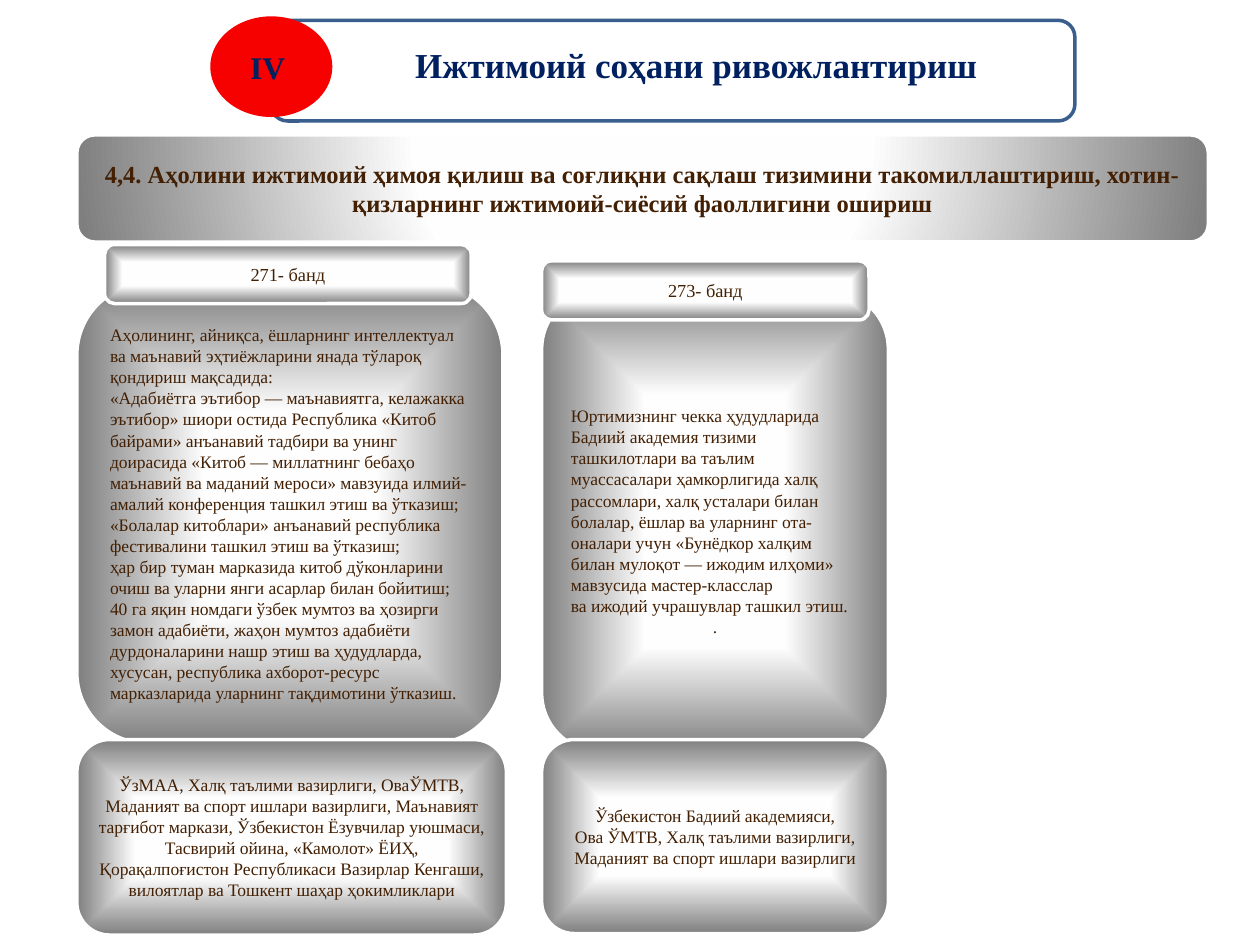
import pptx
import pptx.dml.color
import pptx.enum.shapes
import pptx.enum.text
import pptx.oxml
import pptx.oxml.ns
import pptx.util

Cm, Pt = pptx.util.Cm, pptx.util.Pt
SHAPE = pptx.enum.shapes.MSO_SHAPE
CENTER = pptx.enum.text.PP_ALIGN.CENTER
LEFT = pptx.enum.text.PP_ALIGN.LEFT
MIDDLE = pptx.enum.text.MSO_ANCHOR.MIDDLE

FONT = "Times New Roman"
BROWN, NAVY, RED, BLUE, WHITE = "432003", "002060", "F60000", "3A5F8C", "FFFFFF"
GRADIENT = [(0, "FFFFFF"), (40, "FEFEFE"), (100, "7F7F7F")]
EDGES = ("l", "t", "r", "b")
FROM_CENTER = ("shape", (50, 50, 50, 50))
FROM_SIDES = ("circle", (50, -80, 50, 180))

NUMBER = "IV "
TITLE = "Ижтимоий соҳани ривожлантириш"
GOAL = ("4,4. Аҳолини ижтимоий ҳимоя қилиш ва соғлиқни сақлаш тизимини "
        "такомиллаштириш, хотин-қизларнинг ижтимоий-сиёсий фаоллигини ошириш")

# Each box is (left, top, width, height) in centimetres
CLAUSES = [
    {
        "tag": "271- банд",
        "tag_box": (2.11, 4.93, 7.39, 1.19),
        "tasks": [
            ("Аҳолининг, айниқса, ёшларнинг интеллектуал ва маънавий эҳтиёжларини "
             "янада тўлароқ қондириш мақсадида:", LEFT),
            ("«Адабиётга эътибор — маънавиятга, келажакка эътибор» шиори остида "
             "Республика «Китоб байрами» анъанавий тадбири ва унинг доирасида "
             "«Китоб — миллатнинг бебаҳо маънавий ва маданий мероси» мавзуида "
             "илмий-амалий конференция ташкил этиш ва ўтказиш;", LEFT),
            ("«Болалар китоблари» анъанавий республика фестивалини ташкил этиш "
             "ва ўтказиш;", LEFT),
            ("ҳар бир туман марказида китоб дўконларини очиш ва уларни янги "
             "асарлар билан бойитиш;", LEFT),
            ("40 га яқин номдаги ўзбек мумтоз ва ҳозирги замон адабиёти, жаҳон "
             "мумтоз адабиёти дурдоналарини нашр этиш ва ҳудудларда, хусусан, "
             "республика ахборот-ресурс марказларида уларнинг тақдимотини "
             "ўтказиш.", LEFT),
        ],
        "tasks_box": (1.55, 5.72, 8.59, 9.27),
        "agencies": [
            ("ЎзМАА, Халқ таълими вазирлиги, ОваЎМТВ, Маданият ва спорт ишлари "
             "вазирлиги, Маънавият тарғибот маркази, Ўзбекистон Ёзувчилар "
             "уюшмаси, Тасвирий ойина, «Камолот» ЁИҲ, Қорақалпоғистон "
             "Республикаси Вазирлар Кенгаши, вилоятлар ва Тошкент шаҳар "
             "ҳокимликлари", CENTER),
        ],
        "agencies_box": (1.55, 14.91, 8.66, 3.94),
    },
    {
        "tag": "273- банд",
        "tag_box": (10.92, 5.26, 6.6, 1.19),
        "tasks": [
            ("Юртимизнинг чекка ҳудудларида Бадиий академия тизими ташкилотлари "
             "ва таълим муассасалари ҳамкорлигида халқ рассомлари, халқ усталари "
             "билан болалар, ёшлар ва уларнинг ота-оналари учун «Бунёдкор халқим "
             "билан мулоқот — ижодим илҳоми» мавзусида мастер-класслар \n"
             "ва ижодий учрашувлар ташкил этиш.", LEFT),
            (".", CENTER),
        ],
        "tasks_box": (10.92, 5.87, 6.99, 9.27),
        "agencies": [
            ("Ўзбекистон Бадиий академияси,", CENTER),
            ("Ова ЎМТВ, Халқ таълими вазирлиги, Маданият ва спорт ишлари "
             "вазирлиги", CENTER),
        ],
        "agencies_box": (10.92, 14.91, 6.99, 3.91),
    },
]


def rgb(value):
    return pptx.dml.color.RGBColor.from_string(value)


def write(shape, paragraphs, size, color, bold=False):
    """Fill a shape with (text, alignment) paragraphs in one style."""
    frame = shape.text_frame
    frame.word_wrap = True
    for index, (text, alignment) in enumerate(paragraphs):
        paragraph = frame.add_paragraph() if index else frame.paragraphs[0]
        paragraph.text = text
        paragraph.alignment = alignment
        font = paragraph.font
        font.name, font.size, font.bold = FONT, Pt(size), bold
        font.color.rgb = rgb(color)


def add_shape(shapes, kind, box, fill=None, line=None):
    shape = shapes.add_shape(kind, *map(Cm, box))
    shape.shadow.inherit = False
    if fill:
        shape.fill.solid()
        shape.fill.fore_color.rgb = rgb(fill)
    else:
        shape.fill.background()
    if line:
        shape.line.color.rgb = rgb(line)
        shape.line.width = Pt(2)
    else:
        shape.line.fill.background()
    shape.text_frame.vertical_anchor = MIDDLE
    return shape


def add_panel(shapes, box, paragraphs, size, bold=False, glow=FROM_CENTER):
    """Add a white-edged rounded panel, light in the middle and grey outside."""
    panel = add_shape(shapes, SHAPE.ROUNDED_RECTANGLE, box, WHITE, WHITE)
    form, center = glow
    stops = "".join(
        f'<a:gs pos="{position * 1000}"><a:srgbClr val="{color}"/></a:gs>'
        for position, color in GRADIENT)
    sides = " ".join(f'{edge}="{value * 1000}"' for edge, value in zip(EDGES, center))
    gradient = pptx.oxml.parse_xml(
        f'<a:gradFill {pptx.oxml.ns.nsdecls("a")} rotWithShape="1">'
        f'<a:gsLst>{stops}</a:gsLst>'
        f'<a:path path="{form}"><a:fillToRect {sides}/></a:path></a:gradFill>')
    properties = panel.element.spPr
    properties.replace(properties.find(pptx.oxml.ns.qn("a:solidFill")), gradient)
    write(panel, paragraphs, size, BROWN, bold)


def add_heading(shapes):
    heading = shapes.add_group_shape().shapes
    title = heading.add_textbox(*map(Cm, (7.09, 0.76, 13.64, 1.12)))
    write(title, [(TITLE, CENTER)], 20, NAVY, bold=True)
    title.text_frame.paragraphs[0]._p.get_or_add_pPr().set("marL", str(Cm(0.25)))
    add_shape(heading, SHAPE.ROUNDED_RECTANGLE, (5.46, 0.41, 16.21, 2.03), line=BLUE)
    badge = add_shape(heading, SHAPE.OVAL, (4.24, 0.33, 2.46, 2.03), RED)
    write(badge, [(NUMBER, CENTER)], 18, NAVY, bold=True)


def main():
    deck = pptx.Presentation()
    deck.slide_width, deck.slide_height = Cm(25.4), Cm(19.05)
    shapes = deck.slides.add_slide(deck.slide_layouts[6]).shapes

    add_heading(shapes)
    add_panel(shapes, (1.55, 2.72, 22.81, 2.16), [(GOAL, CENTER)], 14,
              bold=True, glow=FROM_SIDES)
    for clause in CLAUSES:
        add_panel(shapes, clause["tasks_box"], clause["tasks"], 10)
        add_panel(shapes, clause["agencies_box"], clause["agencies"], 10)
        add_panel(shapes, clause["tag_box"], [(clause["tag"], CENTER)], 10.5)
    deck.save("out.pptx")


if __name__ == "__main__":
    main()
